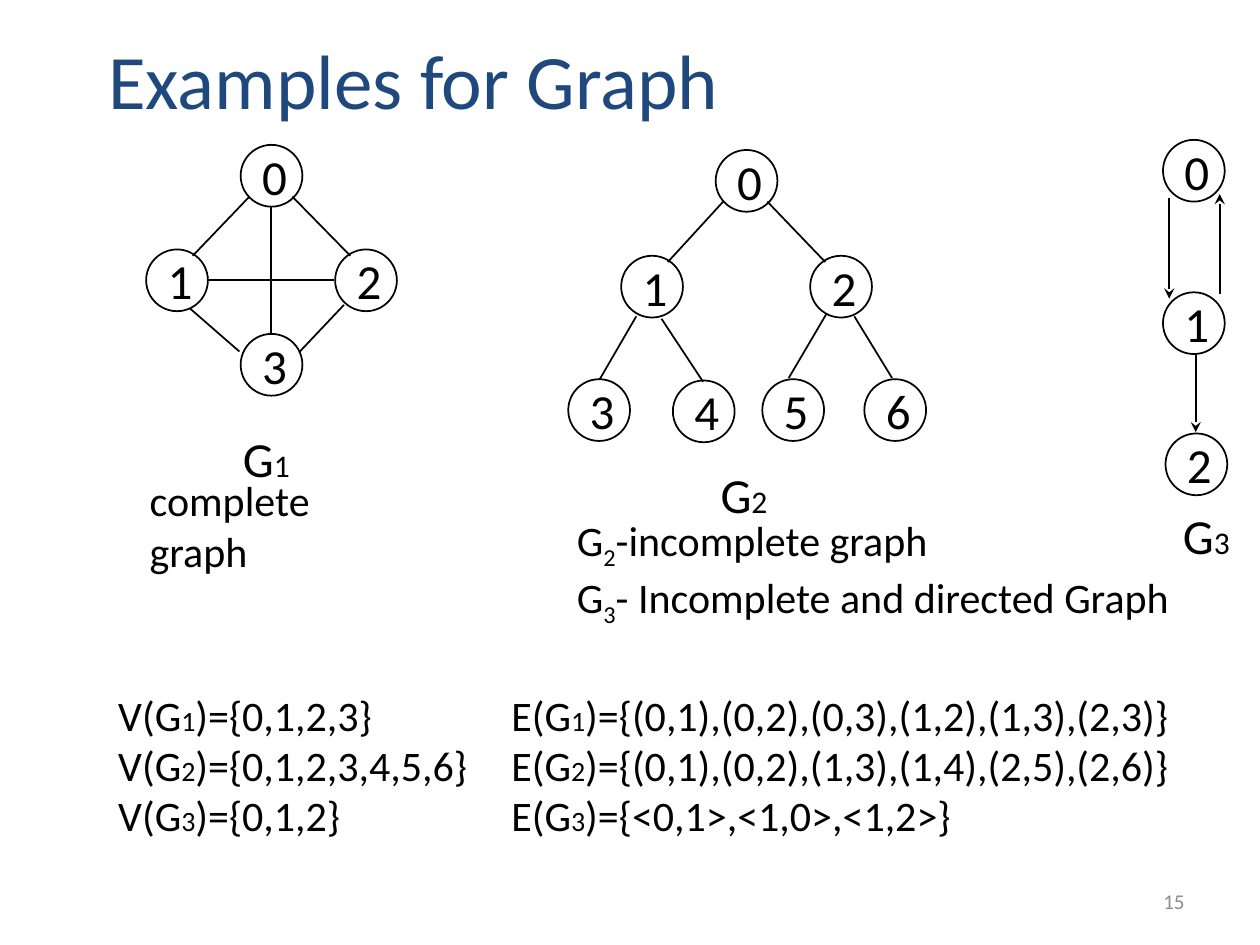
import pptx
import pptx.dml.color
import pptx.enum.shapes
import pptx.enum.text
import pptx.oxml
import pptx.oxml.ns
import pptx.util
from pptx.util import Inches

BLACK = pptx.dml.color.RGBColor(0x00, 0x00, 0x00)
WHITE = pptx.dml.color.RGBColor(0xFF, 0xFF, 0xFF)
NAVY = pptx.dml.color.RGBColor(0x1F, 0x49, 0x7D)
GRAY = pptx.dml.color.RGBColor(0x8C, 0x8C, 0x8C)
FONT = "Calibri"
NODE_SIZE = 0.49
EDGE_COLUMN = 3.12
MIDDLE = pptx.enum.text.MSO_ANCHOR.MIDDLE
TOP = pptx.enum.text.MSO_ANCHOR.TOP
LEFT = pptx.enum.text.PP_ALIGN.LEFT
RIGHT = pptx.enum.text.PP_ALIGN.RIGHT

# Nodes are numbered in order, each given by left and top; edges run x1, y1, x2, y2.
GRAPHS = [
    {
        "number": "1", "label_at": (1.83, 3.35), "directed": False,
        "nodes": [(1.91, 1.15), (1.16, 1.98), (2.66, 1.98), (1.91, 2.65)],
        "edges": [(2.15, 1.64, 2.15, 2.64), (1.65, 2.22, 2.65, 2.22),
                  (1.98, 1.56, 1.53, 2.03), (2.32, 1.56, 2.78, 2.03),
                  (1.51, 2.45, 1.9, 2.79), (2.73, 2.42, 2.38, 2.79)],
    },
    {
        "number": "3", "label_at": (9.29, 3.96), "directed": True,
        "nodes": [(9.23, 1.11), (9.23, 2.32), (9.25, 3.44)],
        "edges": [(9.49, 2.82, 9.49, 3.43), (9.68, 2.33, 9.68, 1.54),
                  (9.28, 1.57, 9.28, 2.37)],
    },
    {
        "number": "2", "label_at": (5.62, 3.64), "directed": False,
        "nodes": [(5.68, 1.19), (4.93, 2.03), (6.43, 2.03), (4.51, 3.01),
                  (5.34, 3.02), (6.05, 3.01), (6.86, 3.01)],
        "edges": [(5.74, 1.6, 5.3, 2.08), (6.09, 1.6, 6.55, 2.08),
                  (5.05, 2.51, 4.76, 3.01), (5.25, 2.53, 5.58, 3.03),
                  (6.56, 2.49, 6.26, 3), (6.78, 2.51, 7.08, 3)],
    },
]
SETS = [
    ("1", "{0,1,2,3}", "{(0,1),(0,2),(0,3),(1,2),(1,3),(2,3)}"),
    ("2", "{0,1,2,3,4,5,6}", "{(0,1),(0,2),(1,3),(1,4),(2,5),(2,6)}"),
    ("3", "{0,1,2}", "{<0,1>,<1,0>,<1,2>}"),
]
REMARKS = [("2", "-incomplete graph"), ("3", "- Incomplete and directed Graph")]


def add_run(paragraph, text, size, color=BLACK, baseline=None):
    run = paragraph.add_run()
    run.text = text
    run.font.name = FONT
    run.font.size = pptx.util.Pt(size)
    run.font.color.rgb = color
    if baseline is not None:
        run.font._element.set("baseline", str(baseline))


def add_text(slide, box, anchor=TOP, wrap=True):
    frame = slide.shapes.add_textbox(*map(Inches, box)).text_frame
    frame.word_wrap = wrap
    frame.vertical_anchor = anchor
    return frame


def paragraphs(frame, count):
    """Return the given number of paragraphs, starting with the one already there."""
    return [frame.paragraphs[0]] + [frame.add_paragraph() for _ in range(count - 1)]


def add_node(slide, number, left, top):
    node = slide.shapes.add_shape(
        pptx.enum.shapes.MSO_SHAPE.OVAL,
        *map(Inches, (left, top, NODE_SIZE, NODE_SIZE)))
    node.shadow.inherit = False
    node.fill.solid()
    node.fill.fore_color.rgb = WHITE
    node.line.color.rgb = BLACK
    node.line.width = pptx.util.Pt(1)
    frame = node.text_frame
    frame.word_wrap = False
    frame.vertical_anchor = MIDDLE
    frame.paragraphs[0].alignment = LEFT
    add_run(frame.paragraphs[0], str(number), 28)


def add_edge(slide, ends, directed):
    edge = slide.shapes.add_connector(
        pptx.enum.shapes.MSO_CONNECTOR.STRAIGHT, *map(Inches, ends))
    edge.line.color.rgb = BLACK
    edge.line.width = pptx.util.Pt(1)
    properties = edge._element.spPr
    if directed:
        arrow = pptx.oxml.ns.qn("a:tailEnd")
        properties.find(pptx.oxml.ns.qn("a:ln")).append(
            properties.makeelement(arrow, {"type": "stealth"}))
    properties.append(properties.makeelement(pptx.oxml.ns.qn("a:effectLst"), {}))


def add_graph(slide, graph):
    for number, (left, top) in enumerate(graph["nodes"]):
        add_node(slide, number, left, top)
    for ends in graph["edges"]:
        add_edge(slide, ends, graph["directed"])
    label = add_text(slide, (*graph["label_at"], 0.61, 0.57), wrap=False).paragraphs[0]
    add_run(label, "G", 28)
    add_run(label, graph["number"], 18)


def add_tab_stop(paragraph, position):
    properties = paragraph._p.get_or_add_pPr()
    tabs = properties.makeelement(pptx.oxml.ns.qn("a:tabLst"), {})
    tabs.append(tabs.makeelement(
        pptx.oxml.ns.qn("a:tab"), {"pos": str(Inches(position)), "algn": "l"}))
    properties.append(tabs)


def add_sets(slide):
    frame = add_text(slide, (0.84, 5.42, 8.63, 1.31))
    for line, (number, vertices, edges) in zip(paragraphs(frame, len(SETS)), SETS):
        add_tab_stop(line, EDGE_COLUMN)
        add_run(line, "V(G", 24)
        add_run(line, number, 16)
        add_run(line, f")={vertices}\tE(G", 24)
        add_run(line, number, 16)
        add_run(line, f")={edges}", 24)


def add_remarks(slide):
    complete = add_text(slide, (1.09, 3.92, 2.26, 0.5), MIDDLE)
    add_run(complete.paragraphs[0], "complete graph", 24)
    frame = add_text(slide, (4.48, 4.08, 4.96, 0.91), MIDDLE)
    for line, (number, remark) in zip(paragraphs(frame, len(REMARKS)), REMARKS):
        add_run(line, "G", 24)
        add_run(line, number, 24, baseline=-25000)
        add_run(line, remark, 24)


def main():
    presentation = pptx.Presentation()
    presentation.slide_width = Inches(10)
    presentation.slide_height = Inches(7.5)
    slide = presentation.slides.add_slide(presentation.slide_layouts[5])

    title = slide.shapes.title
    title.left, title.top, title.width, title.height = map(Inches, (0.76, 0, 9.24, 1.25))
    title.text_frame.vertical_anchor = MIDDLE
    title.text_frame.paragraphs[0].alignment = LEFT
    add_run(title.text_frame.paragraphs[0], "Examples for Graph", 44, NAVY)

    for graph in GRAPHS:
        add_graph(slide, graph)
    add_sets(slide)
    add_remarks(slide)

    page = add_text(slide, (7.17, 6.95, 2.33, 0.4), MIDDLE).paragraphs[0]
    page.alignment = RIGHT
    add_run(page, "15", 12, GRAY)

    presentation.save("out.pptx")


if __name__ == "__main__":
    main()
